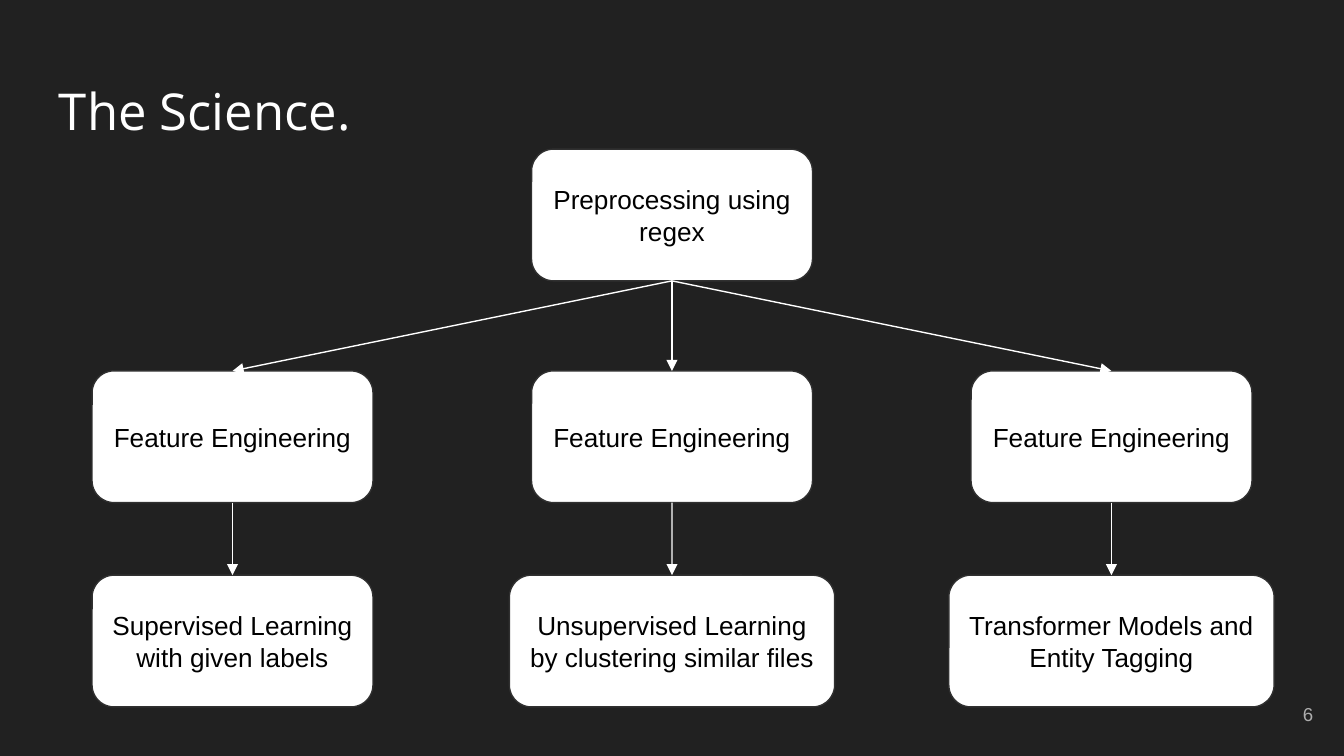
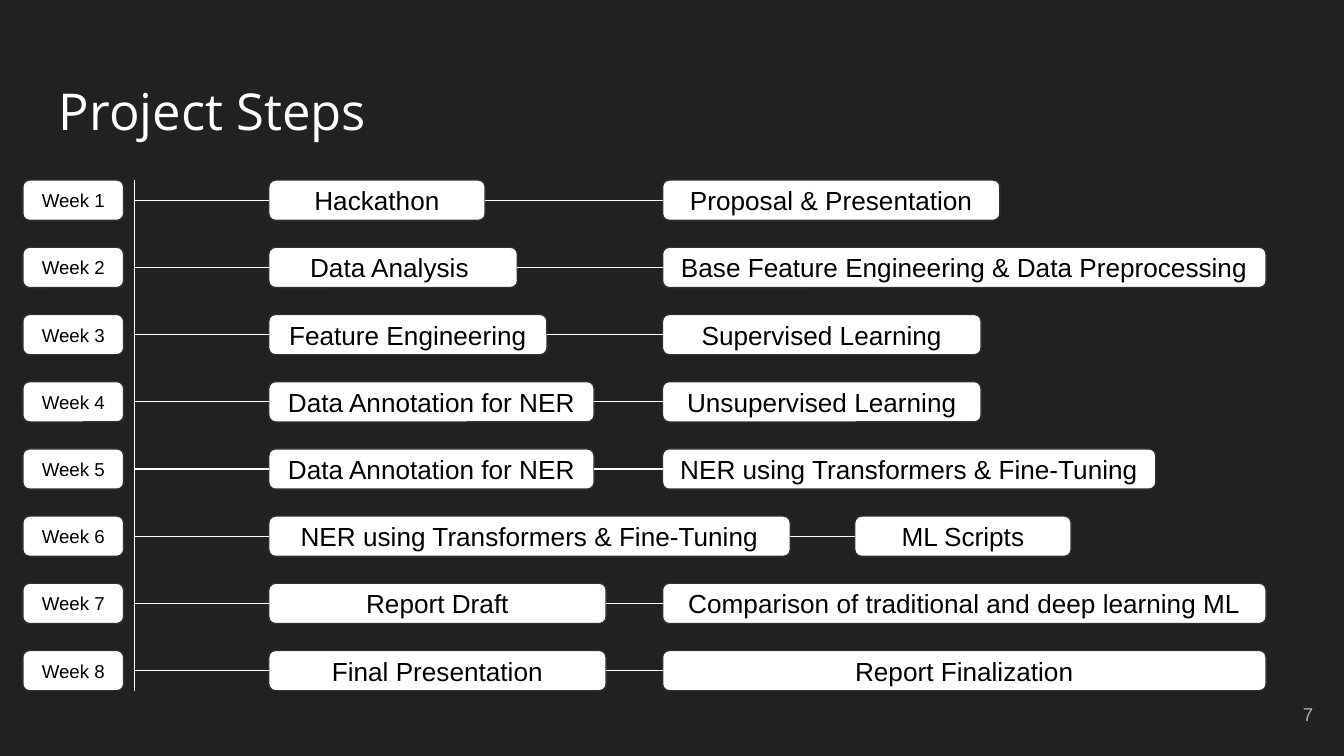
"""Build two dark slides: the modelling flow and the weekly project plan."""
import dataclasses
import typing

import pptx
import pptx.dml.color
import pptx.enum.shapes
import pptx.enum.text
import pptx.oxml
import pptx.oxml.ns
import pptx.presentation
import pptx.shapes.autoshape
import pptx.shapes.connector
import pptx.shapes.shapetree
import pptx.slide
import pptx.text.text
import pptx.util

Inches = pptx.util.Inches
Color = pptx.dml.color.RGBColor
Align = pptx.enum.text.PP_ALIGN
Anchor = pptx.enum.text.MSO_ANCHOR
Canvas = pptx.shapes.shapetree.SlideShapes | pptx.shapes.shapetree.GroupShapes
Card = pptx.shapes.autoshape.Shape
Link = pptx.shapes.connector.Connector

TOP, LEFT, BOTTOM, RIGHT = range(4)


@dataclasses.dataclass(frozen=True)
class Theme:
    background: Color = Color(0x21, 0x21, 0x21)
    card: Color = Color(0xFF, 0xFF, 0xFF)
    card_edge: Color = Color(0x30, 0x30, 0x30)
    card_text: Color = Color(0, 0, 0)
    title: Color = Color(0xFF, 0xFF, 0xFF)
    link: Color = Color(0xFF, 0xFF, 0xFF)
    page_number: Color = Color(0xAD, 0xAD, 0xAD)
    title_font: str = "Open Sans"
    body_font: str = "Arial"
    title_size: float = 27.2
    body_size: float = 14
    small_size: float = 10
    line_width: float = 0.75


THEME = Theme()


class Box(typing.NamedTuple):
    left: float
    top: float
    width: float
    height: float

    def emu(self) -> list[int]:
        return [Inches(length) for length in self]


class Branch(typing.NamedTuple):
    center: float
    model: str
    model_width: float


class Step(typing.NamedTuple):
    text: str
    left: float
    width: float


FLOW_WIDTH, FLOW_HEIGHT = 2.09, 0.98
ROOT_TOP, FEATURE_TOP, MODEL_TOP = 1.11, 2.76, 4.28
BRANCHES = [
    Branch(1.73, "Supervised Learning with given labels", 2.09),
    Branch(5, "Unsupervised Learning by clustering similar files", 2.42),
    Branch(8.27, "Transformer Models and Entity Tagging", 2.42),
]

AXIS, AXIS_TOP, AXIS_BOTTOM = 1, 1.34, 5.14
WEEK_LEFT, WEEK_WIDTH = 0.17, 0.75
WEEK_PITCH, WEEK_HEIGHT = 0.5, 0.3
FIRST, SECOND = 2, 4.93
WEEKS = [
    (Step("Hackathon", FIRST, 1.61), Step("Proposal & Presentation", SECOND, 2.51)),
    (Step("Data Analysis ", FIRST, 1.85),
     Step("Base Feature Engineering & Data Preprocessing", SECOND, 4.49)),
    (Step("Feature Engineering", FIRST, 2.07), Step("Supervised Learning", SECOND, 2.37)),
    (Step("Data Annotation for NER", FIRST, 2.42), Step("Unsupervised Learning", SECOND, 2.37)),
    (Step("Data Annotation for NER", FIRST, 2.42),
     Step("NER using Transformers & Fine-Tuning", SECOND, 3.67)),
    (Step("NER using Transformers & Fine-Tuning", FIRST, 3.88), Step("ML Scripts", 6.36, 1.61)),
    (Step("Report Draft", FIRST, 2.51),
     Step("Comparison of traditional and deep learning ML", SECOND, 4.49)),
    (Step("Final Presentation", FIRST, 2.51), Step("Report Finalization", SECOND, 4.49)),
]


def write(frame: pptx.text.text.TextFrame, text: str, size: float, color: Color,
          align: Align, anchor: Anchor, font: str = THEME.body_font) -> None:
    frame.word_wrap = True
    frame.vertical_anchor = anchor
    frame.margin_left = frame.margin_right = Inches(0.1)
    frame.margin_top = frame.margin_bottom = Inches(0.1)
    paragraph = frame.paragraphs[0]
    paragraph.alignment = align
    run = paragraph.add_run()
    run.text = text
    run.font.name = font
    run.font.size = pptx.util.Pt(size)
    run.font.color.rgb = color


def add_card(canvas: Canvas, box: Box, text: str, size: float = THEME.body_size) -> Card:
    card = canvas.add_shape(pptx.enum.shapes.MSO_SHAPE.ROUNDED_RECTANGLE, *box.emu())
    card.shadow.inherit = False
    card.fill.solid()
    card.fill.fore_color.rgb = THEME.card
    card.line.color.rgb = THEME.card_edge
    card.line.width = pptx.util.Pt(THEME.line_width)
    write(card.text_frame, text, size, THEME.card_text, Align.CENTER, Anchor.MIDDLE)
    return card


def add_line(canvas: Canvas, x1: int, y1: int, x2: int, y2: int) -> Link:
    line = canvas.add_connector(pptx.enum.shapes.MSO_CONNECTOR.STRAIGHT, x1, y1, x2, y2)
    line.line.color.rgb = THEME.link
    line.line.width = pptx.util.Pt(THEME.line_width)
    line.element.spPr.append(pptx.oxml.parse_xml(
        f"<a:effectLst {pptx.oxml.ns.nsdecls('a')}/>"))
    return line


def add_arrow(canvas: Canvas, upper: Card, lower: Card) -> None:
    arrow = add_line(canvas, upper.left + upper.width // 2, upper.top + upper.height,
                     lower.left + lower.width // 2, lower.top)
    arrow.begin_connect(upper, BOTTOM)
    arrow.end_connect(lower, TOP)
    arrow.element.spPr.find(pptx.oxml.ns.qn("a:ln")).append(pptx.oxml.parse_xml(
        f"<a:tailEnd {pptx.oxml.ns.nsdecls('a')} type='triangle'/>"))


def add_slide(deck: pptx.presentation.Presentation, title: str, page: int) -> pptx.slide.Slide:
    slide = deck.slides.add_slide(deck.slide_layouts[6])
    slide.background.fill.solid()
    slide.background.fill.fore_color.rgb = THEME.background
    heading = slide.shapes.add_textbox(*Box(0.34, 0.49, 4.82, 0.63).emu())
    write(heading.text_frame, title, THEME.title_size, THEME.title,
          Align.LEFT, Anchor.TOP, THEME.title_font)
    page_number = slide.shapes.add_textbox(*Box(9.27, 5.1, 0.6, 0.43).emu())
    write(page_number.text_frame, str(page), THEME.small_size, THEME.page_number,
          Align.RIGHT, Anchor.MIDDLE)
    return slide


def add_flow_card(canvas: Canvas, center: float, top: float, text: str,
                  width: float = FLOW_WIDTH) -> Card:
    return add_card(canvas, Box(center - width / 2, top, width, FLOW_HEIGHT), text)


def build_science(deck: pptx.presentation.Presentation) -> None:
    canvas = add_slide(deck, "The Science.", 6).shapes
    preprocessing = add_flow_card(canvas, 5, ROOT_TOP, "Preprocessing using regex")
    for branch in BRANCHES:
        feature = add_flow_card(canvas, branch.center, FEATURE_TOP, "Feature Engineering")
        model = add_flow_card(canvas, branch.center, MODEL_TOP, branch.model, branch.model_width)
        add_arrow(canvas, preprocessing, feature)
        add_arrow(canvas, feature, model)


def add_week(canvas: Canvas, number: int, steps: tuple[Step, ...]) -> None:
    top = AXIS_TOP + (number - 1) * WEEK_PITCH
    middle = Inches(top + WEEK_HEIGHT / 2)
    add_card(canvas, Box(WEEK_LEFT, top, WEEK_WIDTH, WEEK_HEIGHT), f"Week {number}",
             THEME.small_size)
    previous = None
    for step in steps:
        card = add_card(canvas, Box(step.left, top, step.width, WEEK_HEIGHT), step.text)
        start = previous.left + previous.width if previous else Inches(AXIS)
        link = add_line(canvas, start, middle, card.left, middle)
        if previous:
            link.begin_connect(previous, RIGHT)
        link.end_connect(card, LEFT)
        previous = card


def build_project_steps(deck: pptx.presentation.Presentation) -> None:
    canvas = add_slide(deck, "Project Steps", 7).shapes
    add_line(canvas, Inches(AXIS), Inches(AXIS_TOP), Inches(AXIS), Inches(AXIS_BOTTOM))
    for number, steps in enumerate(WEEKS, start=1):
        add_week(canvas.add_group_shape().shapes, number, steps)


def main() -> None:
    deck = pptx.Presentation()
    deck.slide_width = Inches(10)
    deck.slide_height = deck.slide_width * 9 // 16
    build_science(deck)
    build_project_steps(deck)
    deck.save("out.pptx")


if __name__ == "__main__":
    main()
